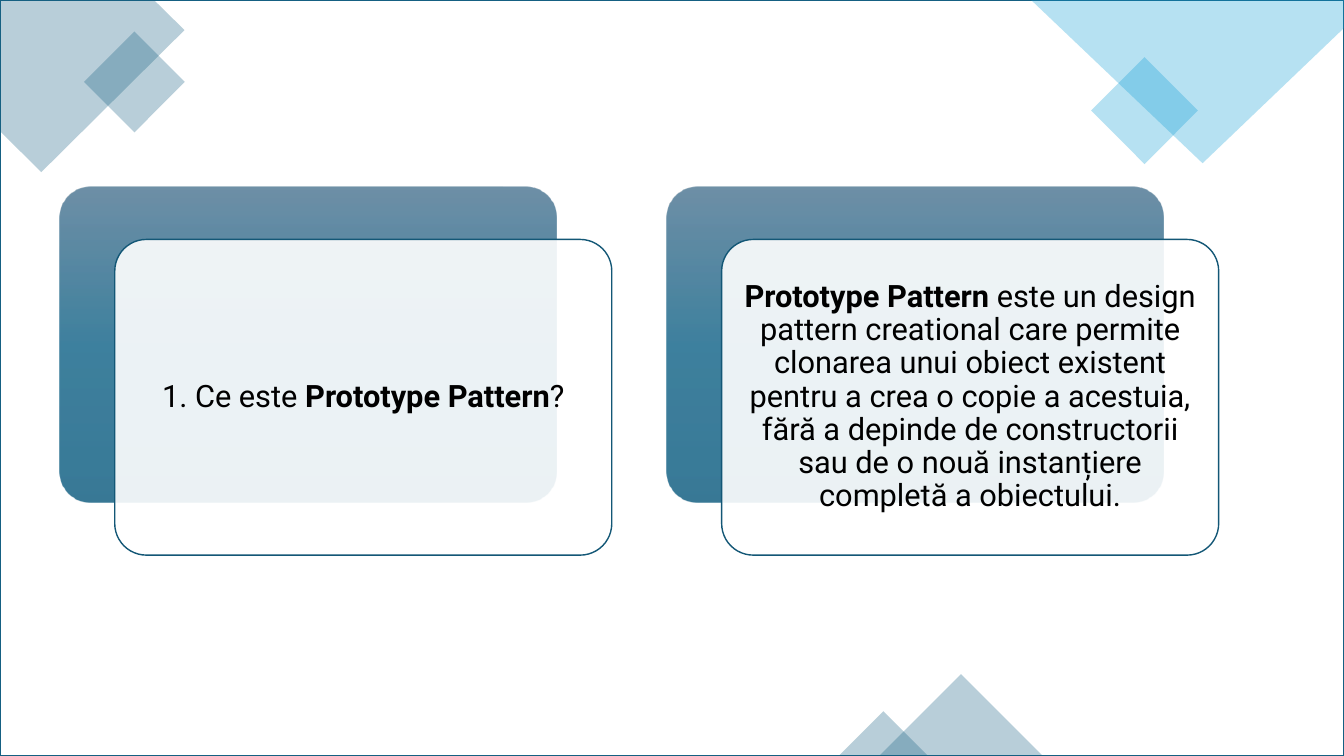
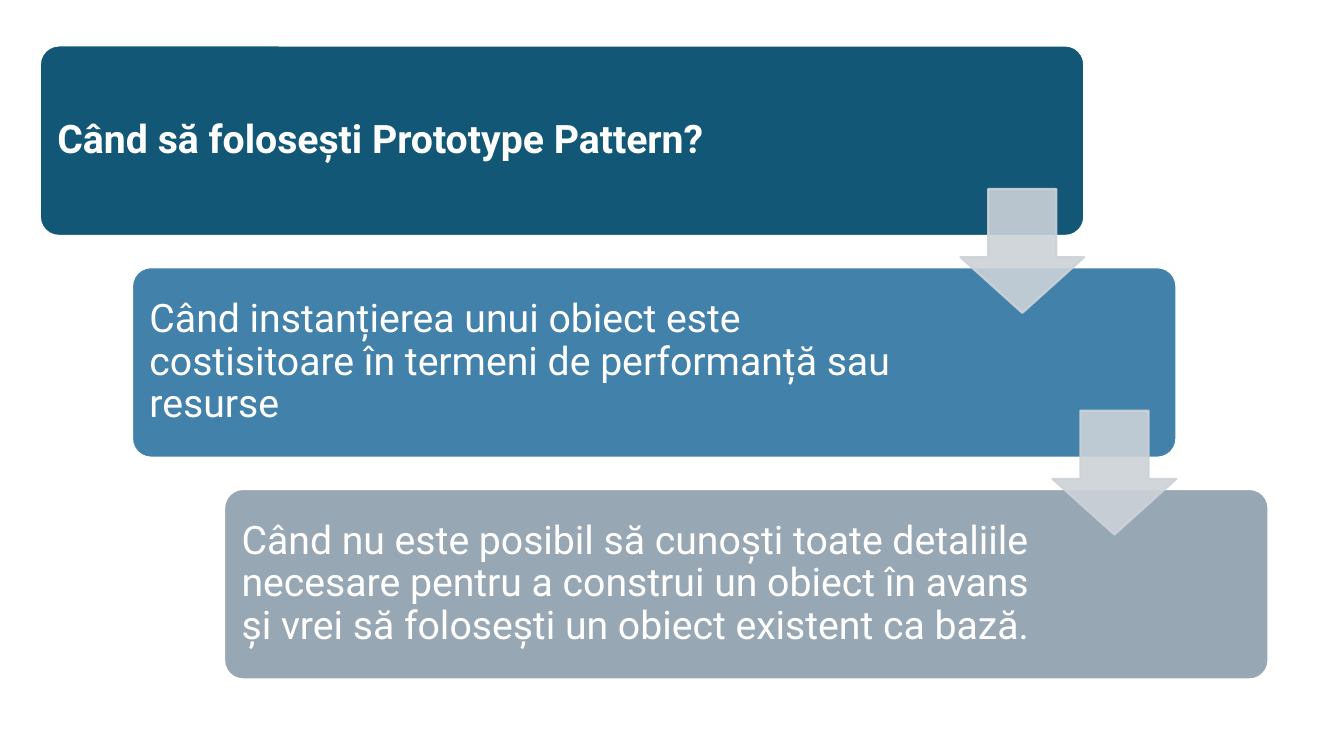
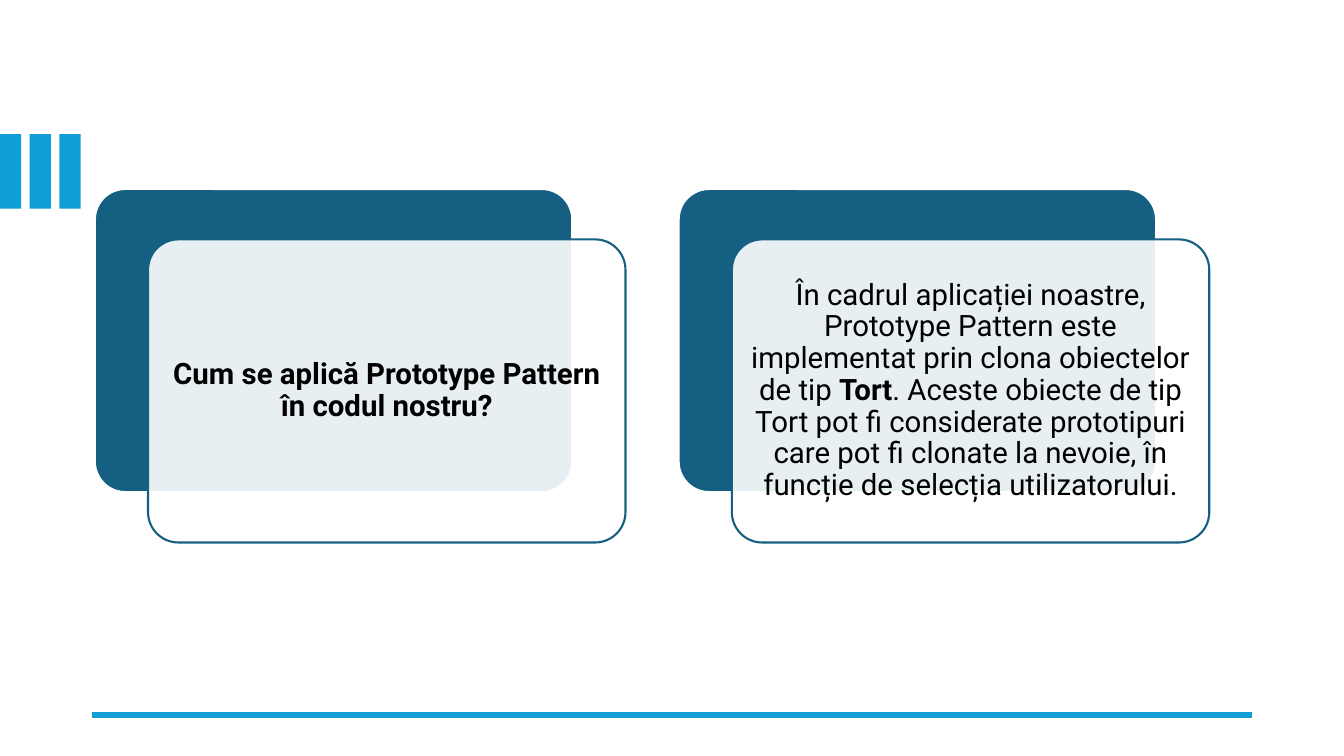
from lxml import etree
from pptx import Presentation
from pptx.dml.color import RGBColor
from pptx.enum.shapes import MSO_CONNECTOR, MSO_SHAPE
from pptx.enum.text import MSO_ANCHOR, PP_ALIGN
from pptx.oxml.ns import qn
from pptx.util import Pt

RECT, ROUNDED = MSO_SHAPE.RECTANGLE, MSO_SHAPE.ROUNDED_RECTANGLE
TRIANGLE, DOWN_ARROW = MSO_SHAPE.ISOSCELES_TRIANGLE, MSO_SHAPE.DOWN_ARROW
STRAIGHT = MSO_CONNECTOR.STRAIGHT
LEFT, CENTER = PP_ALIGN.LEFT, PP_ALIGN.CENTER
MIDDLE = MSO_ANCHOR.MIDDLE

SLIDE_W, SLIDE_H = 960, 540
BLANK_LAYOUT = 6
FONT = "Roboto"
WHITE, BLACK = "FFFFFF", "000000"
TEAL, SKY, DEEP_TEAL = "156082", "0F9ED5", "135776"
STEEL, GREY, PALE = "4281A9", "98A7B4", "CCD2D8"
CARD_GRADIENT = ((0, "4C7591"), (50, "106287"), (100, "09597D"))


# Shared styling
def color(hex_code):
    return RGBColor.from_string(hex_code)


def set_opacity(parent, percent):
    solid = parent.find(qn("a:solidFill"))
    alpha = etree.SubElement(solid[0], qn("a:alpha"))
    alpha.set("val", str(percent * 1000))


def style(shape, fill=None, opacity=100, line=None, line_width=1.5, line_opacity=100):
    shape.shadow.inherit = False
    properties = shape.element.spPr
    if fill:
        shape.fill.solid()
        shape.fill.fore_color.rgb = color(fill)
        if opacity < 100:
            set_opacity(properties, opacity)
    if line:
        shape.line.color.rgb = color(line)
        shape.line.width = Pt(line_width)
        if line_opacity < 100:
            set_opacity(properties.find(qn("a:ln")), line_opacity)
    else:
        shape.line.fill.background()
    return shape


def add_block(slide, kind, box, adjustments=(), **look):
    block = slide.shapes.add_shape(kind, *(Pt(length) for length in box))
    for index, value in enumerate(adjustments):
        block.adjustments[index] = value
    return style(block, **look)


def add_outline(slide, points, **look):
    corners = [(Pt(x), Pt(y)) for x, y in points]
    builder = slide.shapes.build_freeform(*corners[0])
    builder.add_line_segments(corners[1:], close=True)
    return style(builder.convert_to_shape(), **look)


def fill_gradient(shape, stops, opacity):
    shape.fill.gradient()
    gradient = shape.element.spPr.find(qn("a:gradFill"))
    for child in list(gradient):
        gradient.remove(child)
    stop_list = etree.SubElement(gradient, qn("a:gsLst"))
    for position, hex_code in stops:
        stop = etree.SubElement(stop_list, qn("a:gs"), pos=str(position * 1000))
        stop_color = etree.SubElement(stop, qn("a:srgbClr"), val=hex_code)
        etree.SubElement(stop_color, qn("a:alpha"), val=str(opacity * 1000))
    etree.SubElement(gradient, qn("a:lin"), ang="5400000", scaled="0")


def write(shape, runs, size, hex_code, align, inset, right_inset):
    """Write (text, bold) runs as one vertically centred paragraph."""
    frame = shape.text_frame
    frame.word_wrap = True
    frame.vertical_anchor = MIDDLE
    frame.margin_left = frame.margin_top = frame.margin_bottom = Pt(inset)
    frame.margin_right = Pt(right_inset)
    paragraph = frame.paragraphs[0]
    paragraph.alignment = align
    paragraph.line_spacing = 0.9
    for text, bold in runs:
        run = paragraph.add_run()
        run.text = text
        run.font.name = FONT
        run.font.size = Pt(size)
        run.font.bold = bold
        run.font.color.rgb = color(hex_code)


# Question and answer cards
def add_card(slide, box, offset, runs, size, line, line_width, gradient=None):
    left, top, width, height = box
    if gradient:
        backing = add_block(slide, ROUNDED, box, [0.1])
        fill_gradient(backing, gradient, 80)
    else:
        add_block(slide, ROUNDED, box, [0.1], fill=TEAL, line=WHITE)
    front_box = (left + offset[0], top + offset[1], width, height)
    front = add_block(slide, ROUNDED, front_box, [0.1], fill=WHITE, opacity=90,
                      line=line, line_width=line_width)
    write(front, runs, size, BLACK, CENTER, 6.5, 6.5)


def add_card_row(slide, first_box, pitch, offset, cards, **look):
    left, top, width, height = first_box
    for index, runs in enumerate(cards):
        box = (left + index * pitch, top, width, height)
        add_card(slide, box, offset, runs, **look)


# Descending steps joined by arrows
def add_staircase(slide, first_box, shift, steps):
    left, top, width, height = first_box
    arrow_size, arrow_rise = 88.5, 33.5
    corners = [(left + i * shift[0], top + i * shift[1]) for i in range(len(steps))]
    for (x, y), (text, bold, fill) in zip(corners, steps):
        step = add_block(slide, ROUNDED, (x, y, width, height), [0.1],
                         fill=fill, line=WHITE)
        write(step, [(text, bold)], 28, WHITE, LEFT, 8.5, 162)
    for x, y in corners[:-1]:
        arrow_box = (x + width - arrow_size, y + height - arrow_rise,
                     arrow_size, arrow_size)
        add_block(slide, DOWN_ARROW, arrow_box, [0.55, 0.45], fill=PALE,
                  opacity=90, line=PALE, line_opacity=90)


# Translucent corner decoration
def add_corner_decor(slide):
    add_block(slide, RECT, (0, 0, SLIDE_W, SLIDE_H), fill=WHITE, line=TEAL)
    teal, sky = {"fill": TEAL, "opacity": 30}, {"fill": SKY, "opacity": 30}
    add_outline(slide, [(110, 0), (0, 0), (0, 93.6), (29.5, 123), (131.8, 21.5)], **teal)
    add_outline(slide, [(SLIDE_W, 0), (736.5, 0), (859, 116.6), (SLIDE_W, 20)], **sky)
    for left, top, side, look in ((70.5, 33, 51, teal), (790.5, 52, 54, sky)):
        add_block(slide, RECT, (left, top, side, side), **look).rotation = 45
    for left, width, height in ((628, 117, 58.5), (599, 64, 32)):
        add_block(slide, TRIANGLE, (left, SLIDE_H - height, width, height), **teal)


# Side bars and bottom rule
def add_bar_decor(slide):
    for index in range(3):
        add_block(slide, RECT, (index * 21.2, 95.8, 15.2, 53.2), fill=SKY)
    rule = slide.shapes.add_connector(STRAIGHT, Pt(894), Pt(510.5), Pt(66), Pt(510.5))
    rule.line.color.rgb = color(SKY)
    rule.line.width = Pt(4.5)
    etree.SubElement(rule.element.spPr, qn("a:effectLst"))


def build_definition(slide):
    add_corner_decor(slide)
    cards = [
        [("1. Ce este ", False), ("Prototype Pattern", True), ("?", False)],
        [("Prototype Pattern ", True),
         ("este un design pattern creational care permite clonarea unui obiect "
          "existent pentru a crea o copie a acestuia, fără a depinde de "
          "constructorii sau de o nouă instanțiere completă a obiectului.", False)],
    ]
    add_card_row(slide, (42.5, 133.5, 355, 225.5), 433.5, (39.5, 37.5), cards,
                 size=22, line=DEEP_TEAL, line_width=1, gradient=CARD_GRADIENT)


def build_when_to_use(slide):
    steps = [
        ("Când să folosești Prototype Pattern?", True, DEEP_TEAL),
        ("Când instanțierea unui obiect este costisitoare în termeni de "
         "performanță sau resurse", False, STEEL),
        ("Când nu este posibil să cunoști toate detaliile necesare pentru a "
         "construi un obiect în avans și vrei să folosești un obiect existent "
         "ca bază.", False, GREY),
    ]
    add_staircase(slide, (28.5, 32.5, 746, 136), (65.8, 158.4), steps)


def build_application(slide):
    add_bar_decor(slide)
    cards = [
        [("Cum se aplică Prototype Pattern în codul nostru?", True)],
        [("În cadrul aplicației noastre, Prototype Pattern este implementat prin "
          "clona obiectelor de tip ", False),
         ("Tort", True),
         (". Aceste obiecte de tip Tort pot fi considerate prototipuri care pot "
          "fi clonate la nevoie, în funcție de selecția utilizatorului.", False)],
    ]
    add_card_row(slide, (67.8, 135, 341, 216.5), 417, (38, 36), cards,
                 size=21, line=TEAL, line_width=1.5)


def main():
    deck = Presentation()
    deck.slide_width, deck.slide_height = Pt(SLIDE_W), Pt(SLIDE_H)
    for build in (build_definition, build_when_to_use, build_application):
        build(deck.slides.add_slide(deck.slide_layouts[BLANK_LAYOUT]))
    deck.save("out.pptx")


if __name__ == "__main__":
    main()
